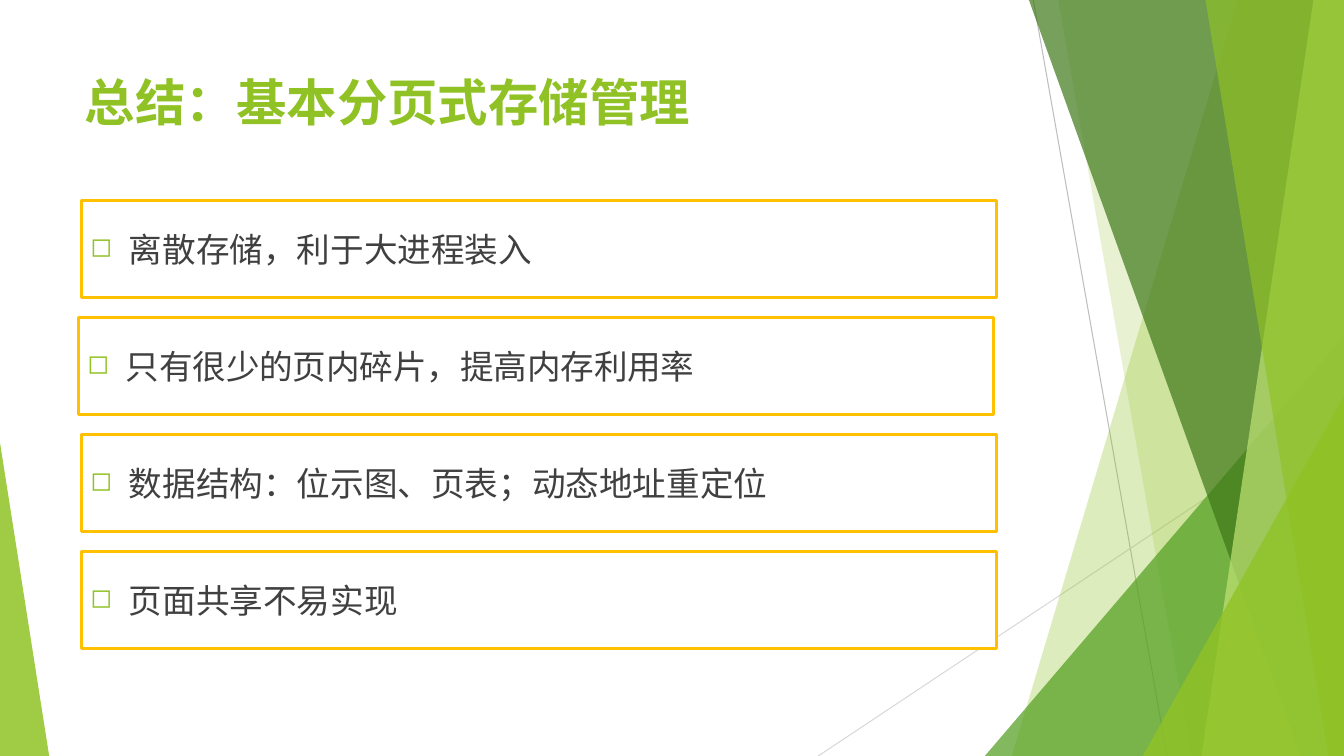
from lxml.etree import SubElement
from pptx import Presentation
from pptx.dml.color import RGBColor
from pptx.enum.shapes import MSO_CONNECTOR, MSO_SHAPE
from pptx.enum.text import MSO_ANCHOR, MSO_AUTO_SIZE, PP_ALIGN
from pptx.oxml.ns import qn
from pptx.util import Cm, Pt

WIDTH, HEIGHT = 33.87, 19.05  # centimetres
FONT = "Noto Sans CJK SC"

GREEN = RGBColor(0x90, 0xC2, 0x25)
MID_GREEN = RGBColor(0x53, 0x9F, 0x20)
DARK_GREEN = RGBColor(0x3E, 0x78, 0x18)
PALE_GREEN = RGBColor(0xC0, 0xE3, 0x74)
AMBER = RGBColor(0xFF, 0xC0, 0x00)
WHITE = RGBColor(0xFF, 0xFF, 0xFF)
TEXT_GRAY = RGBColor(0x40, 0x40, 0x40)
LINE_GRAY = RGBColor(0xBE, 0xBE, 0xBE)
LIGHT_GRAY = RGBColor(0xD9, 0xD9, 0xD9)

TOP_RIGHT, BOTTOM_RIGHT = (WIDTH, 0), (WIDTH, HEIGHT)

THIN_LINES = [
    ((26.04, 0), (29.41, HEIGHT), LINE_GRAY),
    ((WIDTH, 10.24), (20.62, HEIGHT), LIGHT_GRAY),
]
# Outline, colour, opacity in percent
FACETS = [
    ([TOP_RIGHT, (31.19, 0), (25.5, HEIGHT), BOTTOM_RIGHT], GREEN, 30),
    ([TOP_RIGHT, (26.67, 0), (30.02, HEIGHT), BOTTOM_RIGHT], GREEN, 20),
    ([(WIDTH, 8.46), (24.82, HEIGHT), BOTTOM_RIGHT], MID_GREEN, 72),
    ([TOP_RIGHT, (25.93, 0), (32.79, HEIGHT), BOTTOM_RIGHT], DARK_GREEN, 70),
    ([TOP_RIGHT, (33.1, 0), (30.28, HEIGHT), BOTTOM_RIGHT], PALE_GREEN, 70),
    ([TOP_RIGHT, (30.38, 0), (33.48, HEIGHT), BOTTOM_RIGHT], GREEN, 65),
    ([(WIDTH, 9.98), (28.8, HEIGHT), BOTTOM_RIGHT], GREEN, 80),
    ([(0, 11.15), (0, HEIGHT), (1.24, HEIGHT)], GREEN, 85),
]
# Left edge of the box, text, letter spacing in hundredths of a point
POINTS = [
    (2.06, "离散存储，利于大进程装入", 0),
    (1.98, "只有很少的页内碎片，提高内存利用率", -10),
    (2.06, "数据结构：位示图、页表；动态地址重定位", 0),
    (2.06, "页面共享不易实现", 0),
]
BOX_TOP, BOX_PITCH, BOX_WIDTH, BOX_HEIGHT = 5.05, 2.95, 23.06, 2.44


def add_thin_line(s, start, end, color):
    line = s.shapes.add_connector(
        MSO_CONNECTOR.STRAIGHT, *(Cm(v) for v in start + end))
    line.line.color.rgb = color
    line.line.width = Pt(0.75)
    SubElement(line._element.spPr, qn("a:effectLst"))


def add_facet(s, corners, color, opacity):
    first, *rest = [(Cm(x), Cm(y)) for x, y in corners]
    builder = s.shapes.build_freeform(*first)
    builder.add_line_segments(rest, close=True)
    sp = builder.convert_to_shape()
    sp.shadow.inherit = False
    sp.line.fill.background()
    sp.fill.solid()
    sp.fill.fore_color.rgb = color
    clr = sp._element.spPr.find(qn("a:solidFill"))[0]
    SubElement(clr, qn("a:alpha"), val=str(opacity * 1000))


def write_text(sp, text, size=24, color=TEXT_GRAY, bold=False, spacing=0):
    tf = sp.text_frame
    tf.word_wrap = True
    tf.auto_size = MSO_AUTO_SIZE.NONE
    tf.vertical_anchor = MSO_ANCHOR.MIDDLE
    tf.margin_left = tf.margin_right = tf.margin_top = tf.margin_bottom = 0
    p = tf.paragraphs[0]
    p.alignment = PP_ALIGN.LEFT
    r = p.add_run()
    r.text = text
    r.font.size = Pt(size)
    r.font.bold = bold
    r.font.color.rgb = color
    r.font.name = FONT
    rPr = r._r.get_or_add_rPr()
    SubElement(rPr, qn("a:ea"), typeface=FONT)
    if spacing:
        rPr.set("spc", str(spacing))
    return p


def add_bullet(p):
    pPr = p._p.get_or_add_pPr()
    pPr.set("marL", str(Cm(1.19)))
    pPr.set("indent", str(Cm(-0.97)))
    clr = SubElement(pPr, qn("a:buClr"))
    SubElement(clr, qn("a:srgbClr"), val=str(GREEN))
    SubElement(pPr, qn("a:buSzPct"), val="79000")
    SubElement(pPr, qn("a:buChar"), char="◻")


def add_point_box(s, left, top, text, spacing):
    sp = s.shapes.add_shape(MSO_SHAPE.RECTANGLE, Cm(left), Cm(top),
                            Cm(BOX_WIDTH), Cm(BOX_HEIGHT))
    sp.shadow.inherit = False
    sp.fill.solid()
    sp.fill.fore_color.rgb = WHITE
    sp.line.color.rgb = AMBER
    sp.line.width = Pt(2.25)
    add_bullet(write_text(sp, text, spacing=spacing))


def main():
    prs = Presentation()
    prs.slide_width, prs.slide_height = Cm(WIDTH), Cm(HEIGHT)
    s = prs.slides.add_slide(prs.slide_layouts[5])

    # Faceted background
    for start, end, color in THIN_LINES:
        add_thin_line(s, start, end, color)
    for corners, color, opacity in FACETS:
        add_facet(s, corners, color, opacity)

    # Title
    title = s.shapes.title
    title.left, title.top = Cm(2.13), Cm(1.75)
    title.width, title.height = Cm(15.4), Cm(1.6)
    write_text(title, "总结：基本分页式存储管理", size=36, color=GREEN,
               bold=True, spacing=10)

    # Summary points
    for i, (left, text, spacing) in enumerate(POINTS):
        add_point_box(s, left, BOX_TOP + i * BOX_PITCH, text, spacing)

    prs.save("out.pptx")


if __name__ == "__main__":
    main()
